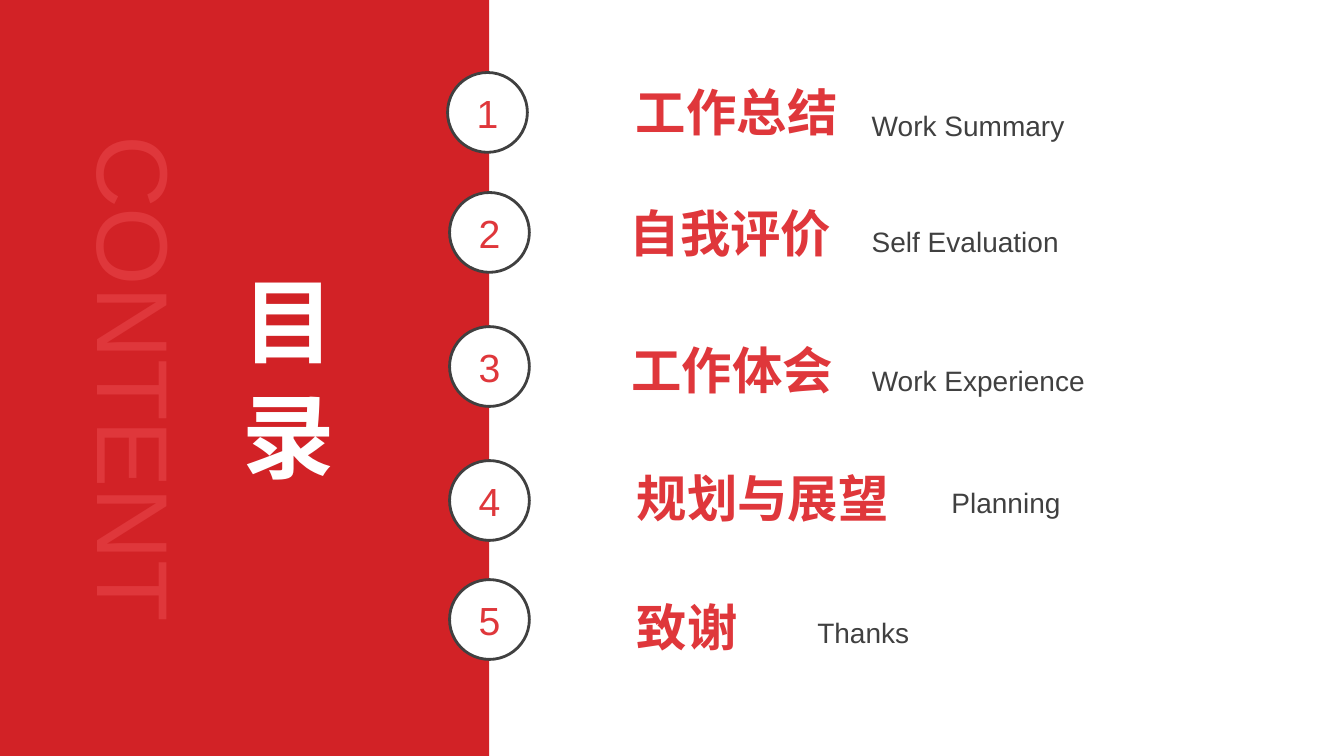
from pptx import Presentation
from pptx.dml.color import RGBColor
from pptx.enum.shapes import MSO_SHAPE as Shape
from pptx.enum.text import MSO_ANCHOR as Anchor, MSO_AUTO_SIZE as AutoSize, PP_ALIGN as Align
from pptx.util import Pt

RED, ACCENT, GREY, WHITE = "D22226", "DF373B", "404040", "FFFFFF"
FONT = "Arial"
CIRCLE = 57

ENTRIES = [
    (319.7, 51.8, "工作总结", (447.1, 54.7, 160), "Work Summary", (615.6, 74.2, 153)),
    (321.1, 137.5, "自我评价", (442.8, 141.1, 160), "Self Evaluation", (615.6, 157, 149)),
    (321.1, 233.3, "工作体会", (443.9, 239, 160), "Work Experience", (615.6, 256.3, 168)),
    (321.1, 329, "规划与展望", (447.8, 329.8, 197), "Planning", (672.5, 343.4, 94)),
    (321.1, 414, "致谢", (447.8, 422.6, 87), "Thanks", (576.7, 436.3, 81)),
]


def color(value):
    return RGBColor.from_string(value)


def write(frame, text, size, ink, bold=False, align=Align.LEFT):
    paragraph = frame.paragraphs[0]
    paragraph.text = text
    paragraph.alignment = align
    font = paragraph.font
    font.name, font.size, font.bold = FONT, Pt(size), bold
    font.color.rgb = color(ink)


def add_preset(slide, kind, left, top, width, height, fill, line=None):
    shape = slide.shapes.add_shape(kind, Pt(left), Pt(top), Pt(width), Pt(height))
    shape.shadow.inherit = False
    shape.fill.solid()
    shape.fill.fore_color.rgb = color(fill)
    if line:
        shape.line.color.rgb = color(line)
        shape.line.width = Pt(2)
    else:
        shape.line.fill.background()
    return shape


def add_text(slide, left, top, width, height, text, size, ink, bold=False, direction=None):
    box = slide.shapes.add_textbox(Pt(left), Pt(top), Pt(width), Pt(height))
    frame = box.text_frame
    frame.word_wrap = direction is not None
    if direction:
        frame._bodyPr.set("vert", direction)
    else:
        frame.auto_size = AutoSize.SHAPE_TO_FIT_TEXT
    write(frame, text, size, ink, bold)
    return frame


def add_title_panel(slide, left, top, width, height):
    add_preset(slide, Shape.RECTANGLE, left, top, width, height, RED)
    label = add_text(slide, left + 63.2, top + 96.5, 80.5, 360, "CONTENT", 72, ACCENT,
                     direction="vert")
    label.margin_left = label.margin_right = label.margin_top = label.margin_bottom = 0
    add_text(slide, left + 154.8, top + 189.4, 94.3, 177, "目 录", 66, WHITE, True, "eaVert")


def add_entry(slide, number, circle_left, circle_top, heading, heading_box, caption, caption_box):
    circle = add_preset(slide, Shape.OVAL, circle_left, circle_top, CIRCLE, CIRCLE, WHITE, GREY)
    circle.text_frame.vertical_anchor = Anchor.MIDDLE
    write(circle.text_frame, str(number), 28, ACCENT, align=Align.CENTER)
    add_text(slide, *heading_box, 51, heading, 36, ACCENT, True)
    add_text(slide, *caption_box, 31.5, caption, 20, GREY)


def main():
    presentation = Presentation()
    presentation.slide_width, presentation.slide_height = Pt(960), Pt(540)
    slide = presentation.slides.add_slide(presentation.slide_layouts[6])
    add_title_panel(slide, -2, 0, 351.5, 540)
    for number, entry in enumerate(ENTRIES, 1):
        add_entry(slide, number, *entry)
    presentation.save("out.pptx")


if __name__ == "__main__":
    main()
